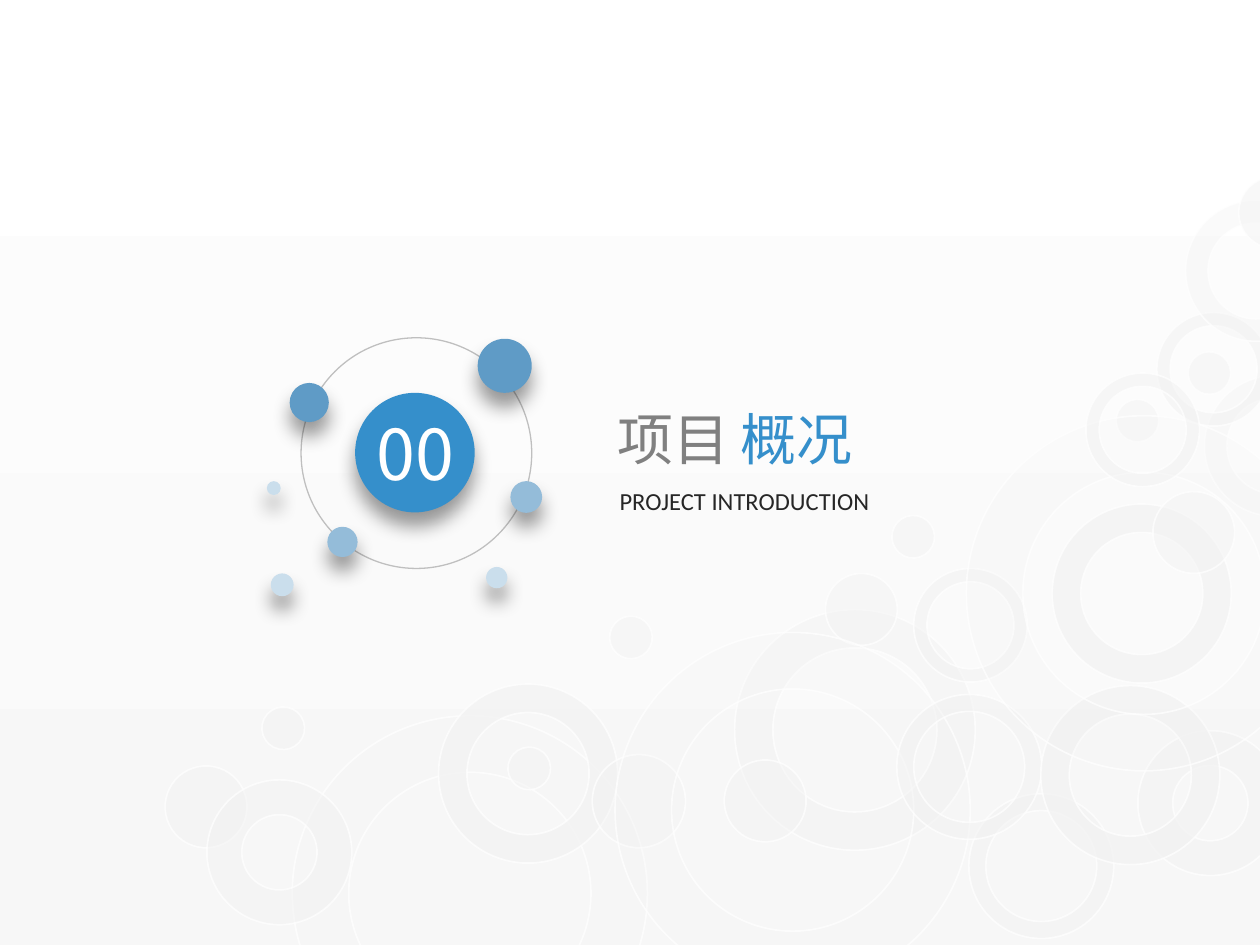
from dataclasses import dataclass

from lxml.etree import SubElement
from pptx import Presentation
from pptx.dml.color import RGBColor
from pptx.enum.shapes import MSO_SHAPE as Preset
from pptx.enum.text import MSO_ANCHOR as Anchor, MSO_AUTO_SIZE as AutoSize, PP_ALIGN as Align
from pptx.oxml.ns import qn
from pptx.util import Cm, Pt

CJK = "Noto Sans CJK SC"
BLUE, MID_BLUE, SOFT_BLUE, PALE_BLUE = "358FCB", "5F9BC6", "94BCD9", "CADEEC"


@dataclass(frozen=True)
class Bubble:
    """A style of background circle; a hole ratio of 0 means a solid disc."""
    size: float
    opacity: int
    hole: float = 0


@dataclass(frozen=True)
class Dot:
    left: float
    top: float
    size: float
    color: str


@dataclass(frozen=True)
class Run:
    text: str
    font: str
    color: str


HUGE = Bubble(7.16, 13, 0.159)
WIDE = Bubble(4.85, 42, 0.159)
BOLD = Bubble(3.61, 75, 0.159)
FAINT = Bubble(2.84, 31, 0.159)
THIN = Bubble(2.92, 54, 0.117)
SMALL_THIN = Bubble(2.29, 54, 0.117)
THICK = Bubble(2.92, 54, 0.24)
LARGE_DISC = Bubble(1.88, 39)
DISC = Bubble(1.65, 47)
MEDIUM_DISC = Bubble(1.45, 47)
SMALL_DISC = Bubble(0.86, 47)

# Background clusters: rotation -> (style, left, top)
CLUSTERS = {
    101.7: [
        (BOLD, 21.21, 10.16), (FAINT, 24.28, 7.57), (HUGE, 5.89, 14.43),
        (THIN, 19.53, 16), (SMALL_THIN, 23.32, 6.3),
        (DISC, 23.24, 9.91), (SMALL_DISC, 22.5, 8.05),
    ],
    341.7: [
        (WIDE, 14.81, 12.29), (BOLD, 8.84, 13.79), (LARGE_DISC, 11.94, 15.21),
        (MEDIUM_DISC, 16.64, 11.56), (HUGE, 12.4, 12.75), (THIN, 18.08, 14),
        (SMALL_THIN, 18.42, 11.46), (THICK, 22.94, 14.73),
        (SMALL_DISC, 12.29, 12.42), (DISC, 3.33, 15.44),
        (SMALL_DISC, 10.24, 15.06), (SMALL_DISC, 17.98, 10.39),
    ],
    176.7: [
        (BOLD, 20.98, 13.82), (FAINT, 23.9, 4.04), (MEDIUM_DISC, 24.97, 3.56),
        (HUGE, 19.48, 8.38), (SMALL_THIN, 21.89, 7.52), (THICK, 4.17, 15.72),
        (SMALL_DISC, 23.95, 7.09), (DISC, 14.6, 15.32), (SMALL_DISC, 5.28, 14.25),
    ],
}

CORE = Dot(7.16, 7.92, 2.41, BLUE)
SATELLITES = [
    Dot(9.63, 6.83, 1.09, MID_BLUE),
    Dot(5.84, 7.72, 0.79, MID_BLUE),
    Dot(5.46, 11.56, 0.46, PALE_BLUE),
    Dot(6.6, 10.62, 0.61, SOFT_BLUE),
    Dot(10.29, 9.7, 0.64, SOFT_BLUE),
    Dot(9.8, 11.43, 0.43, PALE_BLUE),
    Dot(5.38, 9.7, 0.28, PALE_BLUE),
]


def rgb(color: str) -> RGBColor:
    return RGBColor.from_string(color)


def set_opacity(color_parent, percent: int) -> None:
    color = next(color_parent.iter(qn("a:srgbClr")))
    SubElement(color, qn("a:alpha"), val=str(percent * 1000))


def add_circle(slide, left: float, top: float, size: float, *, preset=Preset.OVAL,
               fill: str | None = None, line: str | None = None, weight: float = 1):
    shape = slide.shapes.add_shape(preset, Cm(left), Cm(top), Cm(size), Cm(size))
    shape.shadow.inherit = False
    if fill:
        shape.fill.solid()
        shape.fill.fore_color.rgb = rgb(fill)
    else:
        shape.fill.background()
    if line:
        shape.line.color.rgb = rgb(line)
        shape.line.width = Pt(weight)
    else:
        shape.line.fill.background()
    return shape


def add_bubble(slide, style: Bubble, left: float, top: float, rotation: float) -> None:
    shape = add_circle(slide, left, top, style.size, fill="F2F2F2", line="FFFFFF",
                       preset=Preset.DONUT if style.hole else Preset.OVAL)
    if style.hole:
        shape.adjustments[0] = style.hole
    shape.rotation = rotation
    properties = shape._element.spPr
    set_opacity(properties.find(qn("a:solidFill")), style.opacity)
    set_opacity(properties.find(qn("a:ln")), 70)


def add_dot(slide, dot: Dot) -> None:
    shape = add_circle(slide, dot.left, dot.top, dot.size, fill=dot.color)
    effects = shape._element.spPr.find(qn("a:effectLst"))
    shadow = SubElement(effects, qn("a:outerShdw"), blurRad=str(Pt(11)), dist=str(Pt(8)),
                        dir="5400000", algn="t", rotWithShape="0")
    SubElement(shadow, qn("a:srgbClr"), val="000000")
    set_opacity(shadow, 40)


def write_text(shape, runs: list[Run], *, size: float, align=Align.LEFT,
               wrap: bool = True, spacing: float = 1) -> None:
    frame = shape.text_frame
    frame.word_wrap = wrap
    frame.auto_size = AutoSize.SHAPE_TO_FIT_TEXT
    frame.vertical_anchor = Anchor.TOP
    paragraph = frame.paragraphs[0]
    paragraph.alignment = align
    paragraph.line_spacing = spacing
    for item in runs:
        run = paragraph.add_run()
        run.text = item.text
        run.font.size = Pt(size)
        run.font.color.rgb = rgb(item.color)
        run.font.name = item.font
        SubElement(run._r.get_or_add_rPr(), qn("a:ea"), typeface=item.font)


def main() -> None:
    presentation = Presentation()
    presentation.slide_width, presentation.slide_height = Cm(25.4), Cm(19.05)
    slide = presentation.slides.add_slide(presentation.slide_layouts[5])

    # Background gradient, top to bottom
    background = slide.background.fill
    background.gradient()
    background.gradient_angle = 270
    for stop, color in zip(background.gradient_stops, ("FFFFFF", "F7F7F7")):
        stop.color.rgb = rgb(color)

    # Background circles
    for rotation, bubbles in CLUSTERS.items():
        for style, left, top in bubbles:
            add_bubble(slide, style, left, top, rotation)

    # Section number with its orbit
    add_circle(slide, 6.07, 6.81, 4.65, line="BFBFBF", weight=0.75)
    add_dot(slide, CORE)
    number = slide.shapes.add_textbox(Cm(7.34), Cm(8.15), Cm(2.08), Cm(1.96))
    write_text(number, [Run("00", CJK, "FFFFFF")], size=40, align=Align.CENTER)
    for dot in SATELLITES:
        add_dot(slide, dot)

    # Title and subtitle
    title = slide.shapes.title
    title.left, title.top, title.width, title.height = Cm(12.19), Cm(8.03), Cm(5.38), Cm(1.63)
    write_text(title, [Run("项目 ", "Manrope", "808080"), Run("概况", CJK, BLUE)],
               size=32, wrap=False)
    subtitle = slide.shapes.add_textbox(Cm(12.24), Cm(9.37), Cm(6.93), Cm(1.07))
    write_text(subtitle, [Run("PROJECT INTRODUCTION", "Calibri", "262626")],
               size=14, spacing=1.5)

    presentation.save("out.pptx")


if __name__ == "__main__":
    main()
